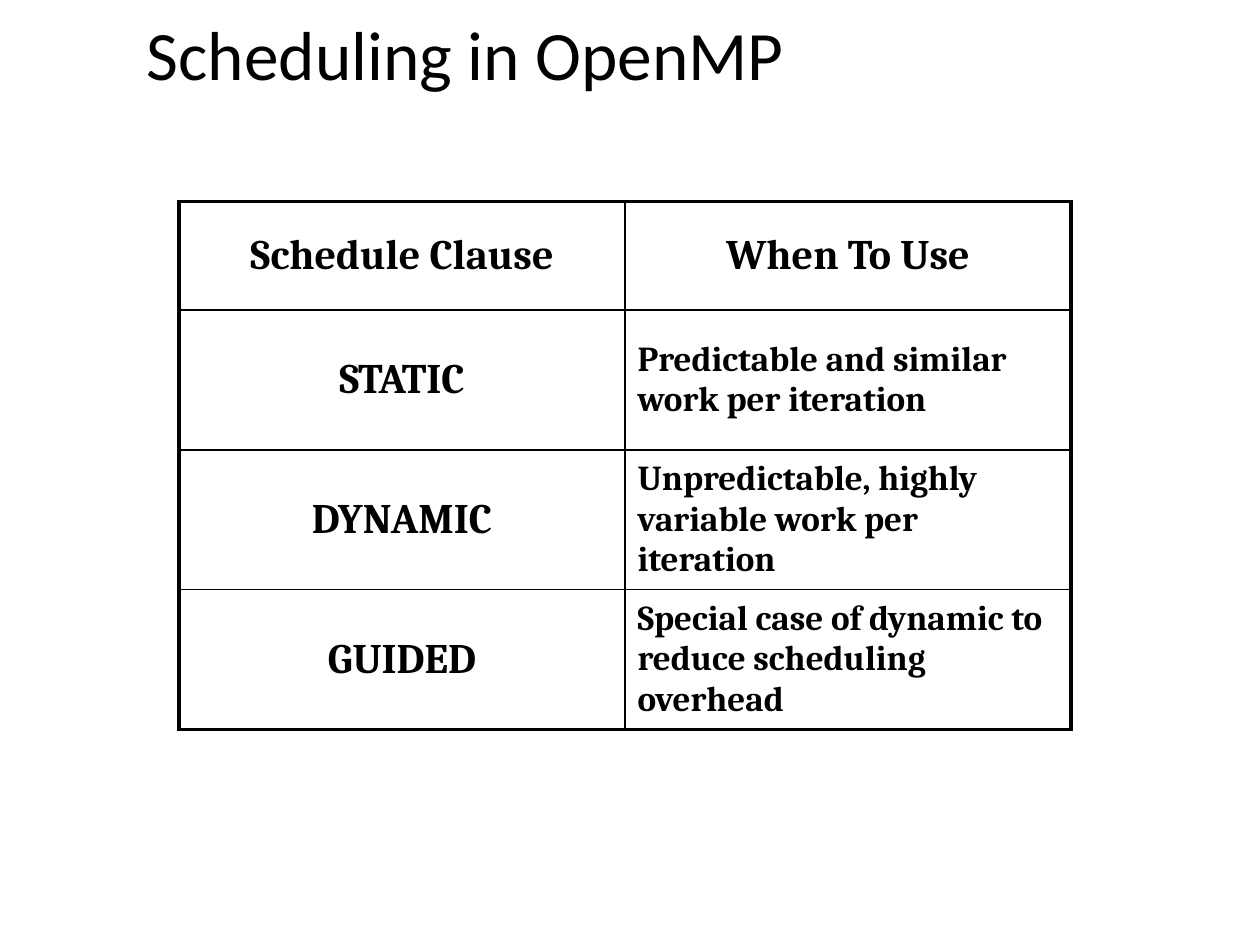
from lxml import etree
from pptx import Presentation
from pptx import util as u
from pptx.dml.color import RGBColor
from pptx.enum import text
from pptx.oxml.ns import qn

# Content
TITLE = "Scheduling in OpenMP"
ROWS = [
    ("Schedule Clause", "When To Use"),
    ("STATIC", "Predictable and similar work per iteration"),
    ("DYNAMIC", "Unpredictable, highly variable work per iteration"),
    ("GUIDED", "Special case of dynamic to reduce scheduling overhead"),
]
HEIGHTS = [0.86, 1.11, 1.11, 1.11]
WIDTHS = [3.54, 3.54]
COLORS = {"ink": "000000"}
THIN, THICK = 1, 2.25


def style(para, font, size, bold, center):
    para.alignment = text.PP_ALIGN.CENTER if center else text.PP_ALIGN.LEFT
    for run in para.runs:
        run.font.name = font
        run.font.size = u.Pt(size)
        run.font.bold = bold
        run.font.color.rgb = RGBColor.from_string(COLORS["ink"])


def space(para, percent):
    before = etree.SubElement(para._p.get_or_add_pPr(), qn("a:spcBef"))
    etree.SubElement(before, qn("a:spcPct"), val=str(percent * 1000))


def border(cell, edges):
    props = cell._tc.get_or_add_tcPr()
    for i, (side, outer) in enumerate(edges.items()):
        width = u.Pt(THICK if outer else THIN)
        line = etree.Element(qn("a:ln" + side), w=str(int(width)))
        fill = etree.SubElement(line, qn("a:solidFill"))
        etree.SubElement(fill, qn("a:srgbClr"), val=COLORS["ink"])
        props.insert(i, line)


deck = Presentation()
deck.slide_width, deck.slide_height = u.Inches(10), u.Inches(7.5)
# Title-only layout supplies a true title placeholder
slide = deck.slides.add_slide(deck.slide_layouts[5])

# Title
title = slide.shapes.title
title.left, title.top = u.Inches(0.82), u.Inches(0.18)
title.width, title.height = u.Inches(5.75), u.Inches(0.47)
frame = title.text_frame
frame.text = TITLE
frame.word_wrap = True
frame.auto_size = text.MSO_AUTO_SIZE.NONE
frame.vertical_anchor = text.MSO_ANCHOR.MIDDLE
style(frame.paragraphs[0], "Calibri", 39.6, False, True)

# Table
table = slide.shapes.add_table(
    len(ROWS), len(WIDTHS), u.Inches(1.42), u.Inches(1.6),
    u.Inches(sum(WIDTHS)), u.Inches(sum(HEIGHTS))).table
table.first_row = table.horz_banding = False
for col, width in zip(table.columns, WIDTHS):
    col.width = u.Inches(width)
for row, height in zip(table.rows, HEIGHTS):
    row.height = u.Inches(height)

# Cells: thick outer frame, thin inner lines
for r, row in enumerate(ROWS):
    for c, words in enumerate(row):
        cell = table.cell(r, c)
        cell.text_frame.text = words
        cell.vertical_anchor = text.MSO_ANCHOR.MIDDLE
        cell.fill.background()
        label = r == 0 or c == 0
        para = cell.text_frame.paragraphs[0]
        style(para, "Cambria", 24 if label else 20, True, label)
        space(para, 20)
        border(cell, {"L": c == 0, "R": c == len(WIDTHS) - 1,
                      "T": r == 0, "B": r == len(ROWS) - 1})

deck.save("out.pptx")
